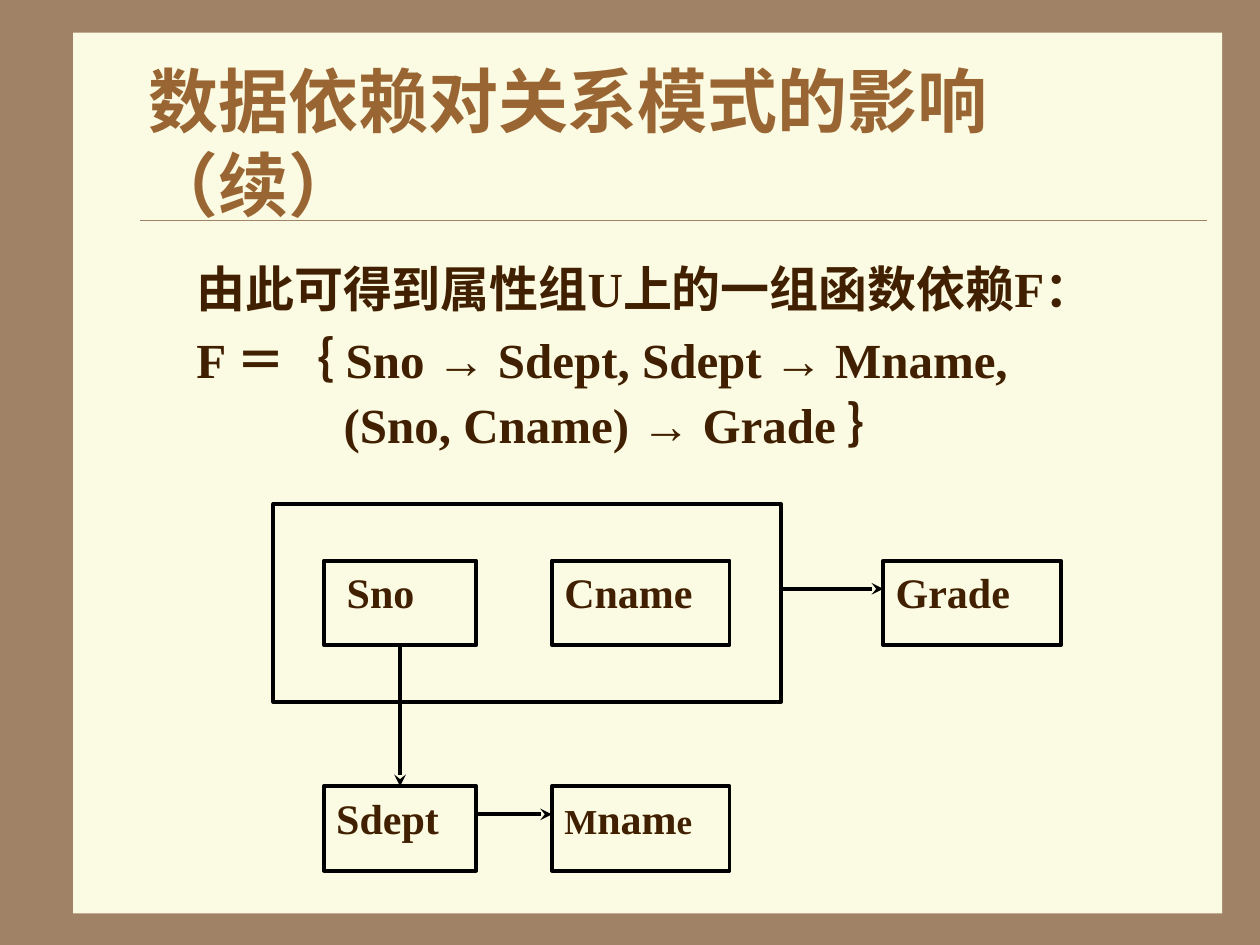
from lxml import etree
from pptx import Presentation
from pptx.dml.color import RGBColor
from pptx.enum.shapes import MSO_CONNECTOR as Connector, MSO_SHAPE as Shape
from pptx.enum.text import MSO_ANCHOR as Anchor, PP_ALIGN as Align
from pptx.oxml.ns import qn
from pptx.util import Inches, Pt

COLORS = {"frame": "A08366", "paper": "FBFAE2", "title": "996633",
          "text": "402000", "line": "000000"}
FONT = "Times New Roman"
COLS, ROWS = 100, 75
SLIDE_W, SLIDE_H = Inches(10), Inches(7.5)
COL_LEFT = {"sno": 25.7, "cname": 43.8, "grade": 70.1}
COL_WIDTH = {"sno": 12.1, "cname": 14.1, "grade": 14.1}
TOP_ROW, LOW_ROW, BOX_H = 44.5, 62.4, 6.7
GROUP = (21.7, 40, 40.3, 15.7)


def x(col):
    return round(SLIDE_W * col / COLS)


def y(row):
    return round(SLIDE_H * row / ROWS)


def color(name):
    return RGBColor.from_string(COLORS[name])


def place(left, top, width, height):
    return x(left), y(top), x(width), y(height)


def add_run(p, text, size, name="text"):
    r = p.add_run()
    r.text = text
    r.font.name, r.font.size, r.font.bold = FONT, Pt(size), True
    r.font.color.rgb = color(name)


def indent(p, cols):
    p._p.get_or_add_pPr().set("marL", str(x(cols)))


def add_rect(s, area, fill=None, line=None):
    sp = s.shapes.add_shape(Shape.RECTANGLE, *place(*area))
    sp.shadow.inherit = False
    if fill:
        sp.fill.solid()
        sp.fill.fore_color.rgb = color(fill)
    else:
        sp.fill.background()
    if line:
        sp.line.color.rgb = color(line)
        sp.line.width = Pt(2.25)
    else:
        sp.line.fill.background()
    return sp


def add_attribute(s, col, row, runs, left_indent=0):
    sp = add_rect(s, (COL_LEFT[col], row, COL_WIDTH[col], BOX_H), line="line")
    tf = sp.text_frame
    tf.word_wrap = True
    tf.vertical_anchor = Anchor.TOP
    p = tf.paragraphs[0]
    p.alignment = Align.JUSTIFY
    indent(p, left_indent)
    for text, size in runs:
        add_run(p, text, size)


def add_line(s, start, end, name="line", width=2.25, arrow=True):
    c = s.shapes.add_connector(Connector.STRAIGHT, x(start[0]), y(start[1]),
                               x(end[0]), y(end[1]))
    c.line.color.rgb = color(name)
    c.line.width = Pt(width)
    if arrow:
        etree.SubElement(c.line._get_or_add_ln(), qn("a:tailEnd"), type="stealth")
    etree.SubElement(c._element.spPr, qn("a:effectLst"))


def add_text(s, area, paragraphs, size, name="text", anchor=Anchor.TOP):
    tf = s.shapes.add_textbox(*place(*area)).text_frame
    tf.word_wrap = True
    tf.vertical_anchor = anchor
    for i, (text, cols, before) in enumerate(paragraphs):
        p = tf.add_paragraph() if i else tf.paragraphs[0]
        indent(p, cols)
        if before:
            p.space_before = Pt(before)
        add_run(p, text, size, name)


def add_diagram(s):
    add_rect(s, GROUP, line="line")
    add_attribute(s, "sno", TOP_ROW, [("Sno", 24)], left_indent=0.83)
    add_attribute(s, "cname", TOP_ROW, [("Cname", 24)])
    add_attribute(s, "grade", TOP_ROW, [("Grade", 24)])
    add_attribute(s, "sno", LOW_ROW, [("Sdept", 24)])
    add_attribute(s, "cname", LOW_ROW, [("M", 20), ("nam", 24), ("e", 20)])
    sno_right = COL_LEFT["sno"] + COL_WIDTH["sno"]
    sno_mid = COL_LEFT["sno"] + COL_WIDTH["sno"] / 2
    upper, lower = TOP_ROW + BOX_H / 3, LOW_ROW + BOX_H / 3
    add_line(s, (sno_mid, TOP_ROW + BOX_H), (sno_mid, LOW_ROW))
    add_line(s, (sno_right, lower), (COL_LEFT["cname"], lower))
    add_line(s, (GROUP[0] + GROUP[2], upper), (COL_LEFT["grade"], upper))


def main():
    prs = Presentation()
    prs.slide_width, prs.slide_height = SLIDE_W, SLIDE_H
    s = prs.slides.add_slide(prs.slide_layouts[6])
    s.background.fill.solid()
    s.background.fill.fore_color.rgb = color("frame")
    add_rect(s, (5.8, 2.6, 91.2, 69.9), fill="paper")
    add_line(s, (11.1, 17.5), (95.8, 17.5), "frame", 0.25, arrow=False)
    add_text(s, (10.8, 5, 85, 12.5), [("数据依赖对关系模式的影响（续）", 0, 0)],
             40, "title", Anchor.MIDDLE)
    add_text(s, (10.8, 20, 85, 45), [
        ("由此可得到属性组U上的一组函数依赖F：", 3.8, 0),
        ("F ＝｛ Sno → Sdept, Sdept → Mname,", 3.8, 7),
        ("(Sno, Cname) → Grade ｝", 15.5, 3.5),
    ], 28)
    add_diagram(s)
    prs.save("out.pptx")


if __name__ == "__main__":
    main()
